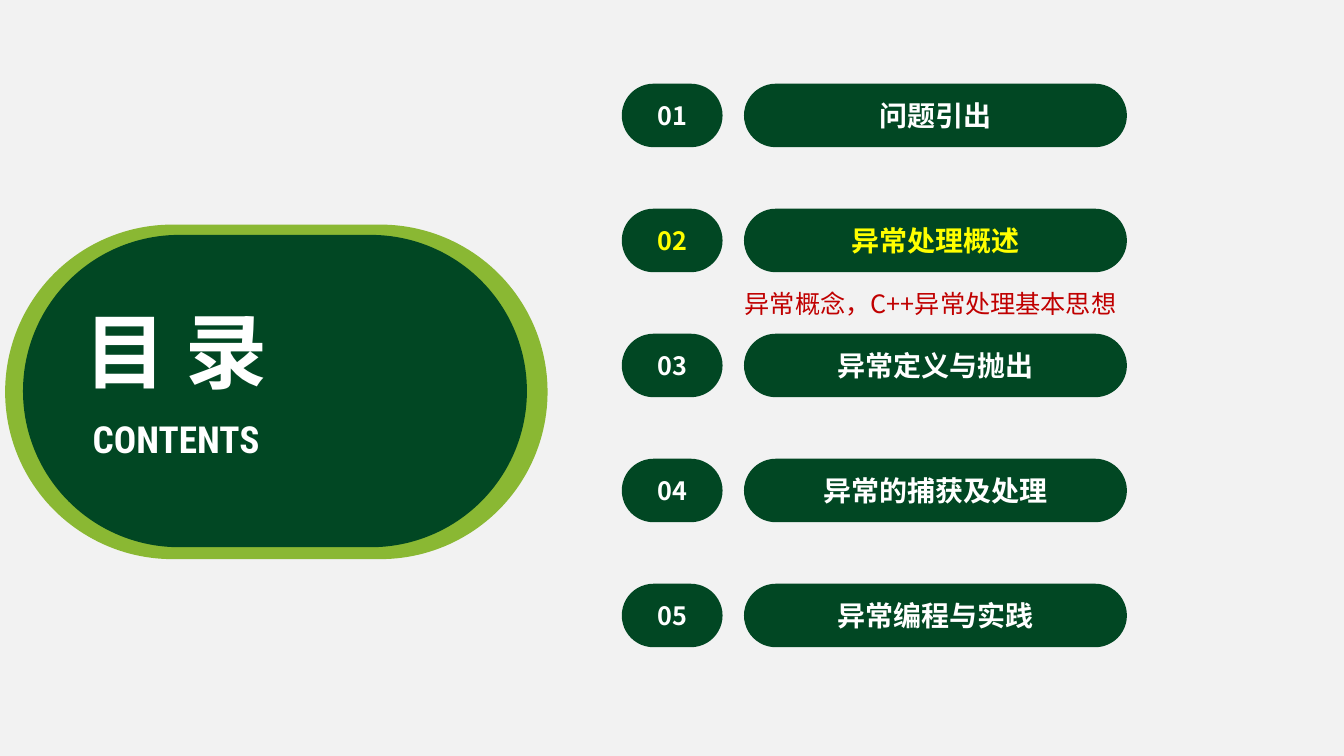
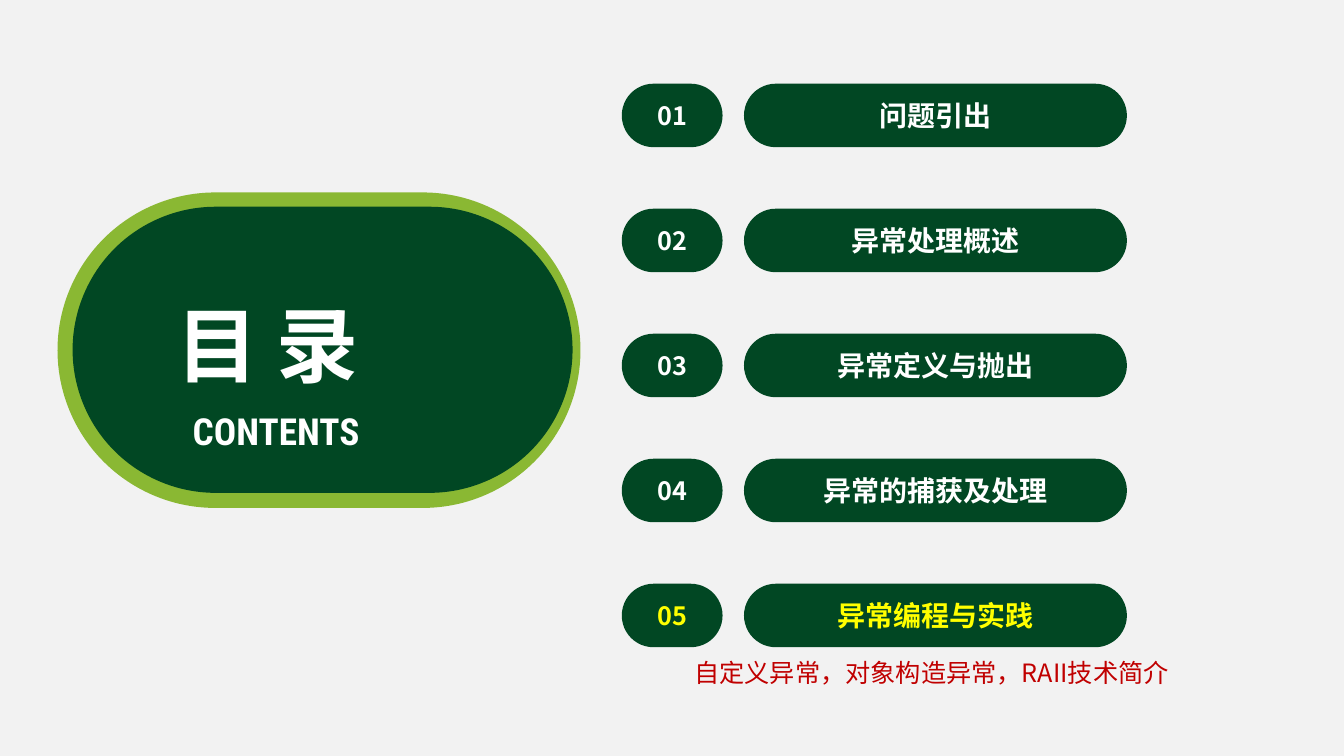
from dataclasses import dataclass

from lxml import etree
from pptx import Presentation
from pptx import util as u
from pptx.dml.color import RGBColor
from pptx.enum import shapes, text
from pptx.oxml import ns

TOPICS = ["问题引出", "异常处理概述", "异常定义与抛出", "异常的捕获及处理", "异常编程与实践"]

AGENDAS = [
    {
        "current": 2,
        "note": ("异常概念，C++异常处理基本思想", (18.52, 7.14, 10.29, 1.02)),
        "rim": (0.13, 5.66, 13.67, 8.43),
        "badge": (0.58, 5.92, 12.7, 7.87),
        "heading": (1.78, 7.44, 5.31, 2.77),
        "subheading": (1.57, 10.36, 5.74, 1.4),
    },
    {
        "current": 5,
        "note": ("自定义异常，对象构造异常，RAII技术简介", (17.25, 16.43, 12.95, 1.02)),
        "rim": (1.45, 4.85, 13.18, 7.95),
        "badge": (1.83, 5.21, 12.6, 7.21),
        "heading": (4.09, 7.29, 5.31, 2.77),
        "subheading": (4.09, 10.16, 5.74, 1.4),
    },
]

FIRST_TOP, ROW_STEP, PILL_HEIGHT = 2.11, 3.15, 1.6
NUMBER_LEFT, NUMBER_WIDTH = 15.67, 2.54
TOPIC_LEFT, TOPIC_WIDTH = 18.75, 9.65


@dataclass(frozen=True)
class Theme:
    page: str = "F2F2F2"
    dark: str = "014723"
    lime: str = "8AB833"
    light: str = "FFFFFF"
    current: str = "FFFF00"
    note: str = "C00000"
    chinese: str = "Noto Sans CJK SC"
    latin: str = "Roboto Condensed"
    heading_size: float = 58.6
    subheading_size: float = 26.6
    topic_size: float = 20
    body_size: float = 18


THEME = Theme()


def paint(fill, color):
    fill.solid()
    fill.fore_color.rgb = RGBColor.from_string(color)


def write(frame, words, size, color, bold=True, font=THEME.chinese, align=text.PP_ALIGN.CENTER):
    para = frame.paragraphs[0]
    para.alignment = align
    span = para.add_run()
    span.text = words
    span.font.size = u.Pt(size)
    span.font.bold = bold
    span.font.color.rgb = RGBColor.from_string(color)
    span.font.name = font
    east_asian = etree.SubElement(span.font._element, ns.qn("a:ea"))
    east_asian.set("typeface", font)


def add_pill(page, place, color):
    pill = page.shapes.add_shape(shapes.MSO_SHAPE.ROUNDED_RECTANGLE, *map(u.Cm, place))
    pill.adjustments[0] = 0.5
    pill.shadow.inherit = False
    pill.line.fill.background()
    paint(pill.fill, color)
    pill.text_frame.vertical_anchor = text.MSO_ANCHOR.MIDDLE
    return pill


def add_label(page, place, words, size, color, **style):
    box = page.shapes.add_textbox(*map(u.Cm, place))
    box.text_frame.word_wrap = False
    box.text_frame.auto_size = text.MSO_AUTO_SIZE.SHAPE_TO_FIT_TEXT
    write(box.text_frame, words, size, color, **style)


def add_topics(page, current):
    for number, topic in enumerate(TOPICS, 1):
        top = FIRST_TOP + (number - 1) * ROW_STEP
        color = THEME.current if number == current else THEME.light
        cells = [
            (NUMBER_LEFT, NUMBER_WIDTH, f"{number:02}", THEME.body_size),
            (TOPIC_LEFT, TOPIC_WIDTH, topic, THEME.topic_size),
        ]
        for left, width, words, size in cells:
            pill = add_pill(page, (left, top, width, PILL_HEIGHT), THEME.dark)
            write(pill.text_frame, words, size, color)


def add_agenda(deck, agenda):
    page = deck.slides.add_slide(deck.slide_layouts[6])
    add_pill(page, agenda["rim"], THEME.lime)
    add_pill(page, agenda["badge"], THEME.dark)
    add_topics(page, agenda["current"])
    add_label(page, agenda["subheading"], "CONTENTS", THEME.subheading_size, THEME.light, font=THEME.latin)
    add_label(page, agenda["heading"], "目 录", THEME.heading_size, THEME.light)
    note, place = agenda["note"]
    add_label(page, place, note, THEME.body_size, THEME.note, bold=False, align=text.PP_ALIGN.LEFT)


def main():
    deck = Presentation()
    deck.slide_width, deck.slide_height = u.Cm(33.87), u.Cm(19.05)
    paint(deck.slide_master.background.fill, THEME.page)
    for agenda in AGENDAS:
        add_agenda(deck, agenda)
    deck.save("out.pptx")


if __name__ == "__main__":
    main()
